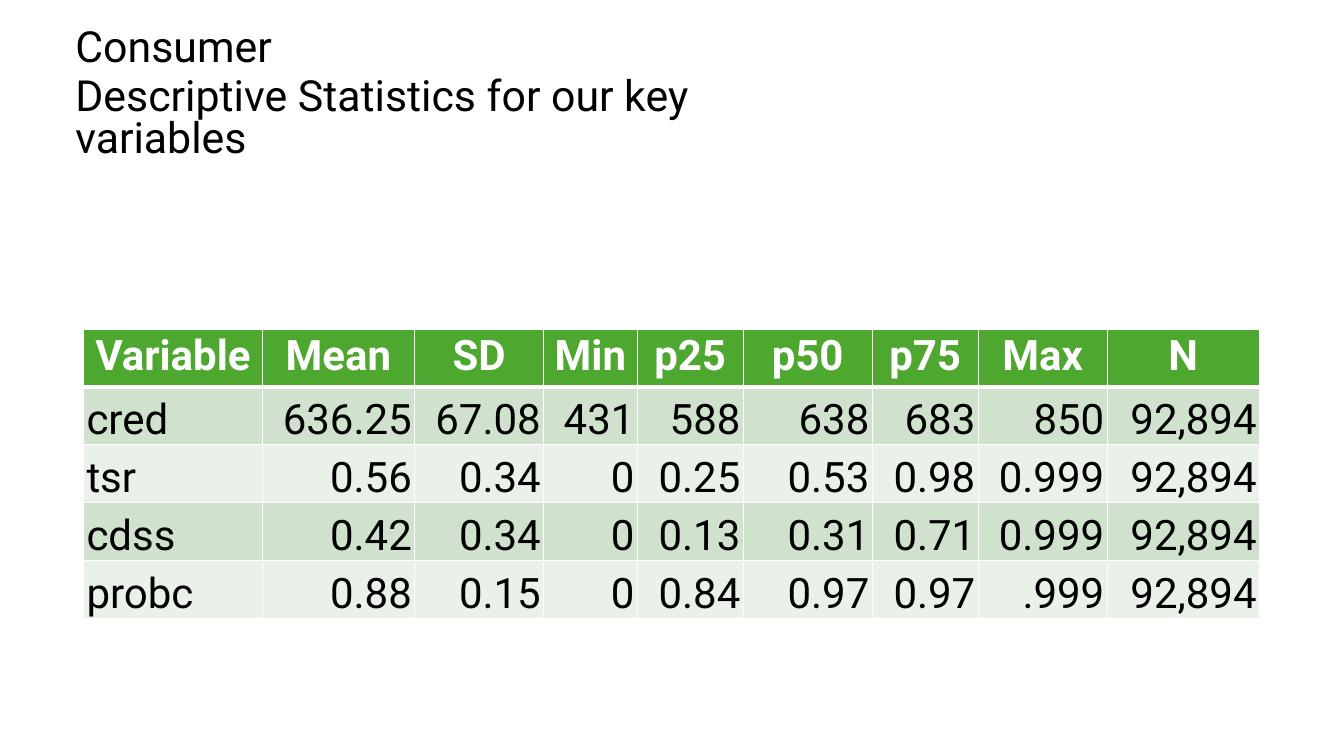
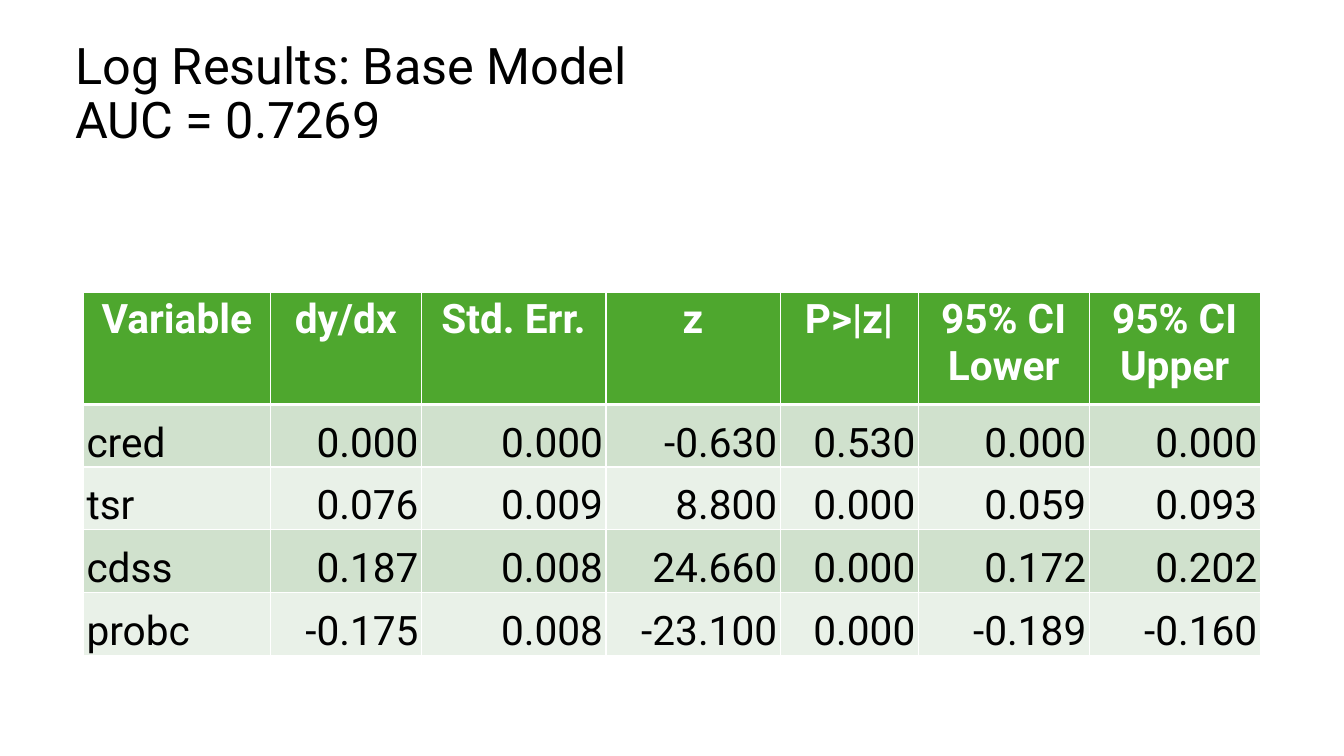
from lxml.etree import SubElement
from pptx import Presentation
from pptx.dml.color import RGBColor
from pptx.enum.shapes import MSO_SHAPE
from pptx.enum.text import MSO_ANCHOR, PP_ALIGN
from pptx.oxml.ns import qn
from pptx.util import Cm, Pt

# Shared look
FONT = "Roboto"
BLACK, WHITE = "000000", "FFFFFF"
HEADER_GREEN = "4EA72E"
BAND_GREENS = ("D0E1CD", "E9F1E8")
SLIDE_WIDTH, SLIDE_HEIGHT = Cm(33.87), Cm(19.05)
TITLE_BOX = (Cm(1.65), Cm(0.69), Cm(19.48), Cm(3.43))
TABLE_LEFT = Cm(2.11)
THIN, THICK = Pt(1), Pt(3)
CELL_FORMAT = {"margin_left": Cm(0.07), "margin_right": Cm(0.07),
               "margin_top": Cm(0.07), "margin_bottom": 0}

# Table content: header row first
STATISTICS = [
    ["Variable", "Mean", "SD", "Min", "p25", "p50", "p75", "Max", "N"],
    ["cred", "636.25", "67.08", "431", "588", "638", "683", "850", "92,894"],
    ["tsr", "0.56", "0.34", "0", "0.25", "0.53", "0.98", "0.999", "92,894"],
    ["cdss", "0.42", "0.34", "0", "0.13", "0.31", "0.71", "0.999", "92,894"],
    ["probc", "0.88", "0.15", "0", "0.84", "0.97", "0.97", ".999", "92,894"],
]
STATISTICS_WIDTHS = [4.5, 3.84, 3.25, 2.36, 2.67, 3.25, 2.67, 3.25, 3.84]
BASE_MODEL = [
    ["Variable", "dy/dx", "Std. Err.", "z", "P>|z|", "95% CI Lower", "95% CI Upper"],
    ["cred", "0.000", "0.000", "-0.630", "0.530", "0.000", "0.000"],
    ["tsr", "0.076", "0.009", "8.800", "0.000", "0.059", "0.093"],
    ["cdss", "0.187", "0.008", "24.660", "0.000", "0.172", "0.202"],
    ["probc", "-0.175", "0.008", "-23.100", "0.000", "-0.189", "-0.160"],
]
BASE_MODEL_WIDTHS = [4.7, 3.81, 4.65, 4.39, 3.48, 4.31, 4.31]


def rgb(value):
    return RGBColor.from_string(value)


def apply(target, formats):
    for name, value in formats.items():
        setattr(target, name, value)


def style_font(font, size, color, bold=False):
    apply(font, {"name": FONT, "size": Pt(size), "bold": bold})
    font.color.rgb = rgb(color)


def add_title(slide, paragraphs, size, spacing):
    frame = slide.shapes.add_textbox(*TITLE_BOX).text_frame
    apply(frame, {"word_wrap": True, "vertical_anchor": MSO_ANCHOR.MIDDLE,
                  "text": "\n".join(paragraphs)})
    for paragraph in frame.paragraphs:
        apply(paragraph, spacing)
        for run in paragraph.runs:
            style_font(run.font, size, BLACK)


def add_title_band(slide):
    band = slide.shapes.add_shape(MSO_SHAPE.RECTANGLE, 0, 0, SLIDE_WIDTH, Cm(4.72))
    band.shadow.inherit = False
    band.fill.solid()
    band.fill.fore_color.rgb = rgb(WHITE)
    band.line.fill.background()


def add_borders(cell, top, bottom):
    properties = cell._tc.get_or_add_tcPr()
    for side, width in (("L", THIN), ("R", THIN), ("T", top), ("B", bottom)):
        line = SubElement(properties, qn(f"a:ln{side}"), w=str(width))
        fill = SubElement(line, qn("a:solidFill"))
        SubElement(fill, qn("a:srgbClr"), val=WHITE)


def style_cell(cell, row, column, size):
    header = row == 0
    apply(cell, CELL_FORMAT)
    cell.vertical_anchor = MSO_ANCHOR.TOP if header else MSO_ANCHOR.BOTTOM
    # The thick rule runs between the header and the first data row
    add_borders(cell, THICK if row == 1 else THIN, THICK if header else THIN)
    cell.fill.solid()
    cell.fill.fore_color.rgb = rgb(HEADER_GREEN if header else BAND_GREENS[(row - 1) % 2])

    paragraph = cell.text_frame.paragraphs[0]
    if header:
        paragraph.alignment = PP_ALIGN.CENTER
    else:
        paragraph.alignment = PP_ALIGN.RIGHT if column else PP_ALIGN.LEFT
    style_font(paragraph.runs[0].font, size, WHITE if header else BLACK, header)


def add_results_table(slide, rows, top, widths, header_height, row_height, size):
    heights = [header_height] + [row_height] * (len(rows) - 1)
    table = slide.shapes.add_table(len(rows), len(widths), TABLE_LEFT, Cm(top),
                                   Cm(sum(widths)), Cm(sum(heights))).table
    table.horz_banding = False
    for column, width in zip(table.columns, widths):
        column.width = Cm(width)
    for row, height in zip(table.rows, heights):
        row.height = Cm(height)
    for r, values in enumerate(rows):
        for c, value in enumerate(values):
            cell = table.cell(r, c)
            cell.text = value
            style_cell(cell, r, c, size)


def main():
    deck = Presentation()
    apply(deck, {"slide_width": SLIDE_WIDTH, "slide_height": SLIDE_HEIGHT})
    blank = deck.slide_layouts[6]

    # Descriptive statistics
    statistics = deck.slides.add_slide(blank)
    add_title(statistics, ["Consumer", "Descriptive Statistics for our key variables"],
              30.6, {"line_spacing": 0.8, "space_after": Pt(6)})
    add_results_table(statistics, STATISTICS, 8.29, STATISTICS_WIDTHS, 1.46, 1.46, 30)

    # Base model results
    model = deck.slides.add_slide(blank)
    add_title_band(model)
    add_title(model, ["Log Results: Base Model\vAUC = 0.7269"], 36, {"line_spacing": 0.9})
    add_results_table(model, BASE_MODEL, 7.37, BASE_MODEL_WIDTHS, 2.82, 1.58, 29)

    deck.save("out.pptx")


if __name__ == "__main__":
    main()
